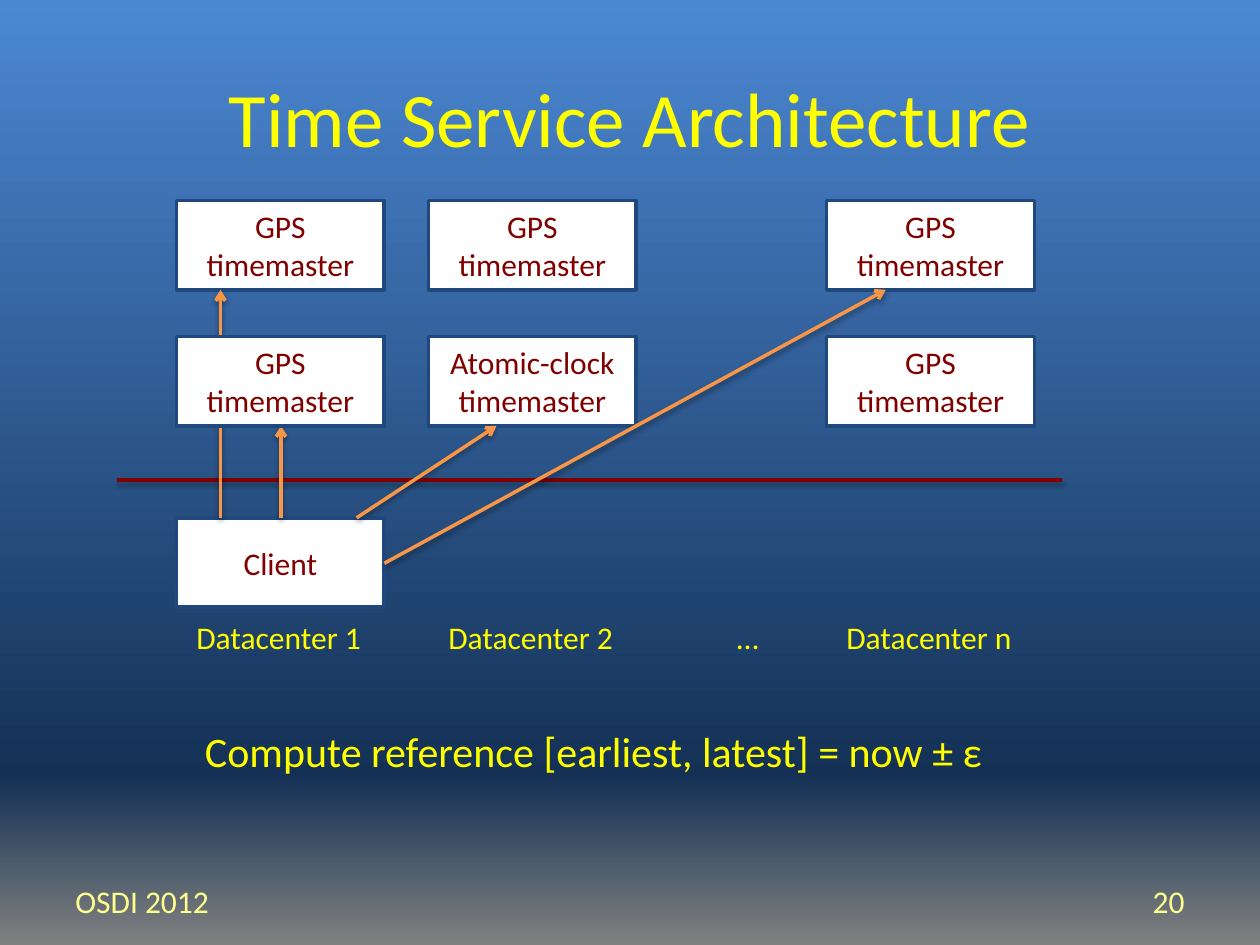
import pptx
import pptx.util
import pptx.oxml
import pptx.oxml.ns
import pptx.dml.color
import pptx.enum.shapes
import pptx.enum.text

Pt = pptx.util.Pt
ALIGN = pptx.enum.text.PP_ALIGN
ANCHOR = pptx.enum.text.MSO_ANCHOR
KIND = pptx.enum.shapes

HUES = {
    "sky": "4C88D4", "navy": "143155", "gray": "808080",
    "yellow": "FFFF00", "pale": "FFFF8C", "white": "FFFFFF",
    "edge": "1F497D", "maroon": "800000", "orange": "F79646",
}
NS = pptx.oxml.ns.nsdecls("a", "p")
SHADE = (
    f'<a:effectLst {NS}><a:outerShdw blurRad="{Pt(3.1)}" dist="{Pt(1.6)}" '
    'dir="5400000" rotWithShape="0"><a:srgbClr val="000000">'
    '<a:alpha val="38000"/></a:srgbClr></a:outerShdw></a:effectLst>'
)


def tint(name):
    """Return the named colour."""
    return pptx.dml.color.RGBColor.from_string(HUES[name])


def style(item, **values):
    """Set attributes from a dict of format values."""
    for key, value in values.items():
        setattr(item, key, value)


def write(shape, text, hue, size=18, align=ALIGN.LEFT, **frame):
    """Write one paragraph into a shape."""
    style(shape.text_frame, **frame)
    para = shape.text_frame.paragraphs[0]
    para.alignment = align
    run = para.add_run()
    run.text = text
    style(run.font, name="Calibri", size=Pt(size))
    run.font.color.rgb = tint(hue)


def label(slide, box, text, hue, **form):
    """Add a text box."""
    shape = slide.shapes.add_textbox(*map(Pt, box))
    write(shape, text, hue, **form)


def node(slide, left, top, text):
    """Add one white server box."""
    shape = slide.shapes.add_shape(
        KIND.MSO_SHAPE.RECTANGLE, Pt(left), Pt(top), Pt(118.8), Pt(51.1))
    shape.shadow.inherit = False
    shape.fill.solid()
    shape.fill.fore_color.rgb = tint("white")
    shape.line.color.rgb = tint("edge")
    shape.line.width = Pt(2)
    write(shape, text, "maroon", align=ALIGN.CENTER, word_wrap=True,
          vertical_anchor=ANCHOR.MIDDLE)


def link(slide, start, end, hue, arrow=True):
    """Add a shadowed line, with an arrowhead if asked."""
    line = slide.shapes.add_connector(
        KIND.MSO_CONNECTOR.STRAIGHT, *map(Pt, (*start, *end)))
    line.line.color.rgb = tint(hue)
    line.line.width = Pt(2)
    if arrow:
        line.line._get_or_add_ln().append(
            pptx.oxml.parse_xml(f'<a:tailEnd {NS} type="arrow"/>'))
    line._element.spPr.append(pptx.oxml.parse_xml(SHADE))


def backdrop(slide):
    """Paint the vertical gradient."""
    stops = "".join(
        f'<a:gs pos="{pos}000"><a:srgbClr val="{HUES[name]}"/></a:gs>'
        for pos, name in ((0, "gray"), (18, "navy"), (100, "sky")))
    slide.element.cSld.insert(0, pptx.oxml.parse_xml(
        f'<p:bg {NS}><p:bgPr><a:gradFill rotWithShape="1"><a:gsLst>{stops}'
        '</a:gsLst><a:lin ang="16200000" scaled="0"/></a:gradFill>'
        '<a:effectLst/></p:bgPr></p:bg>'))


def diagram(slide, x, y, width):
    """Draw the datacenters, the client and its links."""
    cols = [x + step for step in (33.8, 177.8, 405.3)]
    rows = [y, y + 77.8]
    gps = "GPS timemaster"
    masters = [[gps, gps], [gps, "Atomic-clock timemaster"], [gps, gps]]
    for col, names, mark in zip(cols, masters, "12n"):
        label(slide, (col + 4.3, y + 235.4, 110.2, 28.8),
              f"Datacenter {mark}", "yellow", word_wrap=False)
        for row, name in zip(rows, names):
            if (col, row) != (cols[0], rows[1]):
                node(slide, col, row, name)
    label(slide, (x + 347, y + 235.4, 27.4, 28.8), "…", "yellow",
          word_wrap=False)
    node(slide, cols[0], y + 181.4, "Client")
    link(slide, (x, y + 159.8), (x + width, y + 159.8), "maroon", False)
    for x1, y1, x2, y2 in (
            (136.8, 181.4, 216.7, 128.9), (152.6, 207.4, 439.2, 51.1),
            (93.6, 181.4, 93.6, 128.9), (59, 181.4, 59, 51.1)):
        link(slide, (x + x1, y + y1), (x + x2, y + y2), "orange")
    node(slide, cols[0], rows[1], gps)


def footer(slide, x, y, width):
    """Place the event name and the page number."""
    form = {"vertical_anchor": ANCHOR.MIDDLE, "word_wrap": True}
    label(slide, (x, y, 168, 28.8), "OSDI 2012", "pale", **form)
    label(slide, (x + width - 168, y, 168, 28.8), "20", "pale",
          align=ALIGN.RIGHT, **form)


def main():
    """Build and save the slide."""
    deck = pptx.Presentation()
    style(deck, slide_width=Pt(720), slide_height=Pt(540))
    slide = deck.slides.add_slide(deck.slide_layouts[6])
    backdrop(slide)
    label(slide, (36, 21.6, 648, 90), "Time Service Architecture", "yellow",
          size=44, align=ALIGN.CENTER, word_wrap=True,
          vertical_anchor=ANCHOR.MIDDLE)
    diagram(slide, 67, 114.5, 540)
    label(slide, (110, 411.1, 466, 36),
          "Compute reference [earliest, latest] = now ± ε", "yellow",
          size=24, word_wrap=False)
    footer(slide, 36, 500.4, 648)
    deck.save("out.pptx")


if __name__ == "__main__":
    main()
